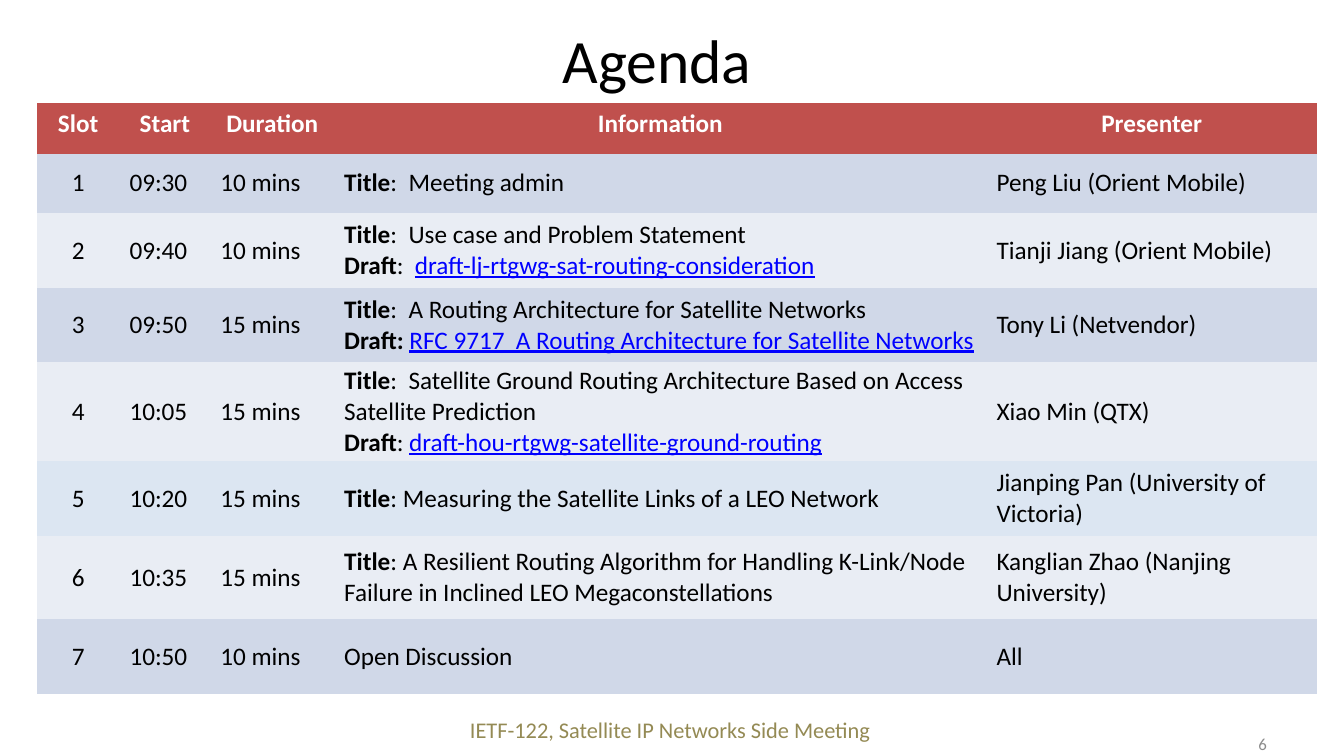
from pptx import Presentation
from pptx import util as u
from pptx.dml.color import RGBColor
from pptx.enum import text
from pptx.util import Cm

FONT = "Calibri"
COLOURS = {
    "header": "C0504D", "odd": "D0D8E8", "even": "E9EDF4", "accent": "DCE6F2",
    "white": "FFFFFF", "black": "000000", "link": "0000FF",
    "footer": "948A54", "number": "8C8C8C",
}
CENTER, LEFT, RIGHT = (text.PP_ALIGN.CENTER, text.PP_ALIGN.LEFT,
                       text.PP_ALIGN.RIGHT)
MIDDLE = text.MSO_ANCHOR.MIDDLE
NO_STYLE_NO_GRID = "{2D5ABB26-0587-4C30-8999-92F81FD0307C}"

COLUMN_WIDTHS = [2.08, 2.29, 3.12, 16.44, 8.33]
ROW_HEIGHTS = [1.27, 1.5, 1.88, 1.88, 2.49, 1.88, 2.11, 1.88]
HEADINGS = ["Slot", "Start", "Duration", "Information", "Presenter"]

# Each information line is a list of (text, style) runs.
SESSIONS = [
    ("09:30", "10 mins",
     [[("Title", "bold"), (":  Meeting admin", "plain")]],
     "Peng Liu (Orient Mobile)"),
    ("09:40", "10 mins",
     [[("Title", "bold"), (":  Use case and Problem Statement", "plain")],
      [("Draft", "bold"), (":  ", "plain"),
       ("draft-lj-rtgwg-sat-routing-consideration", "link")]],
     "Tianji Jiang (Orient Mobile)"),
    ("09:50", "15 mins",
     [[("Title", "bold"),
       (":  A Routing Architecture for Satellite Networks", "plain")],
      [("Draft: ", "bold"),
       ("RFC 9717  A Routing Architecture for Satellite Networks", "link")]],
     "Tony Li (Netvendor)"),
    ("10:05", "15 mins",
     [[("Title", "bold"),
       (":  Satellite Ground Routing Architecture Based on Access "
        "Satellite Prediction", "plain")],
      [("Draft", "bold"), (": ", "plain"),
       ("draft-hou-rtgwg-satellite-ground-routing", "link")]],
     "Xiao Min (QTX)"),
    ("10:20", "15 mins",
     [[("Title", "bold"),
       (": Measuring the Satellite Links of a LEO Network", "plain")]],
     "Jianping Pan (University of Victoria)"),
    ("10:35", "15 mins",
     [[("Title", "bold"),
       (": A Resilient Routing Algorithm for Handling K-Link/Node Failure "
        "in Inclined LEO Megaconstellations", "plain")]],
     "Kanglian Zhao (Nanjing University)"),
    ("10:50", "10 mins", [[("Open Discussion", "plain")]], "All"),
]


def rgb(name):
    return RGBColor.from_string(COLOURS[name])


def format_paragraph(p, size, colour, align, bold=False):
    p.alignment = align
    p.font.name = FONT
    p.font.size = u.Pt(size)
    p.font.bold = bold
    p.font.color.rgb = rgb(colour)


def place_title(slide, left, top, width, height):
    title = slide.shapes.title
    title.left, title.top, title.width, title.height = left, top, width, height
    tf = title.text_frame
    tf.text = "Agenda"
    tf.vertical_anchor = MIDDLE
    tf.auto_size = text.MSO_AUTO_SIZE.NONE
    format_paragraph(tf.paragraphs[0], 44, "black", CENTER)


def add_label(slide, box, words, size, colour, align, anchor):
    tf = slide.shapes.add_textbox(*box).text_frame
    tf.word_wrap = True
    tf.vertical_anchor = anchor
    tf.text = words
    format_paragraph(tf.paragraphs[0], size, colour, align)


def fill_cell(cell, fill, lines, colour="black", align=LEFT, bold=False):
    cell.fill.solid()
    cell.fill.fore_color.rgb = rgb(fill)
    tf = cell.text_frame
    for i, line in enumerate(lines):
        p = tf.add_paragraph() if i else tf.paragraphs[0]
        format_paragraph(p, 18, colour, align, bold)
        for words, style in line:
            r = p.add_run()
            r.text = words
            if style == "bold":
                r.font.bold = True
            elif style == "link":
                r.font.underline = True
                r.font.color.rgb = rgb("link")


def add_agenda(slide, left, top):
    frame = slide.shapes.add_table(
        len(ROW_HEIGHTS), len(COLUMN_WIDTHS), left, top,
        Cm(sum(COLUMN_WIDTHS)), Cm(sum(ROW_HEIGHTS)))
    table = frame.table
    table.horz_banding = False
    style_id = frame._element.xpath(".//a:tableStyleId")[0]
    style_id.text = NO_STYLE_NO_GRID
    for column, width in zip(table.columns, COLUMN_WIDTHS):
        column.width = Cm(width)
    for row, height in zip(table.rows, ROW_HEIGHTS):
        row.height = Cm(height)

    for cell, heading in zip(table.rows[0].cells, HEADINGS):
        fill_cell(cell, "header", [[(heading, "plain")]], "white", CENTER, True)

    for slot, (start, duration, info, presenter) in enumerate(SESSIONS, 1):
        fill = "accent" if slot == 5 else "odd" if slot % 2 else "even"
        slot_lines, start_lines, duration_lines, presenter_lines = (
            [[(words, "plain")]]
            for words in (str(slot), start, duration, presenter))
        contents = [slot_lines, start_lines, duration_lines, info,
                    presenter_lines]
        for col, (cell, lines) in enumerate(
                zip(table.rows[slot].cells, contents)):
            cell.vertical_anchor = MIDDLE
            cell.margin_top = cell.margin_bottom = Cm(0.09)
            fill_cell(cell, fill, lines, align=LEFT if col else CENTER)


def main():
    prs = Presentation()
    prs.slide_width, prs.slide_height = Cm(33.87), Cm(19.05)
    slide = prs.slides.add_slide(prs.slide_layouts[5])
    add_label(slide, (Cm(24.28), Cm(18.24), Cm(7.9), Cm(1.02)),
              "6", 12, "number", RIGHT, MIDDLE)
    add_agenda(slide, Cm(0.93), Cm(2.6))
    place_title(slide, Cm(1.7), Cm(0.84), Cm(29.72), Cm(1.3))
    add_label(slide, (Cm(4.29), Cm(17.91), Cm(25.2), Cm(0.94)),
              "IETF-122, Satellite IP Networks Side Meeting",
              16, "footer", CENTER, text.MSO_ANCHOR.TOP)
    prs.save("out.pptx")


if __name__ == "__main__":
    main()
